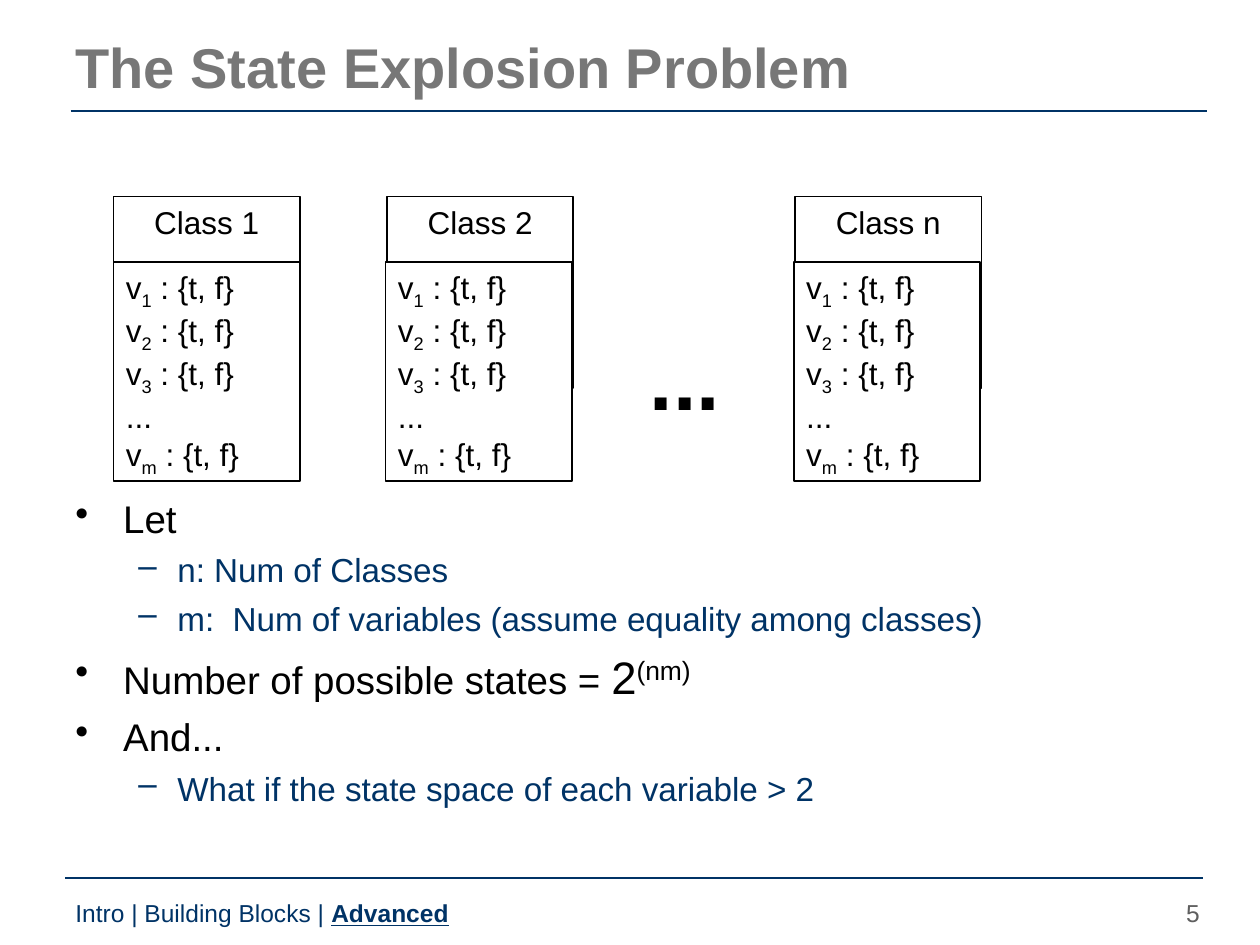
from lxml import etree
from pptx import Presentation
from pptx.dml.color import RGBColor
from pptx.enum import shapes, text
from pptx.oxml.ns import qn
from pptx.util import Inches, Pt

BLACK, NAVY, GRAY = "000000", "003366", "777777"

# Content: a run is (text, format overrides)
TITLE = "The State Explosion Problem"
CLASSES = [("Class 1", 0.9, 0.9), ("Class 2", 3.07, 3.06), ("Class n", 6.31, 6.3)]
VARIABLES = ["1", "2", "3", None, "m"]
BULLETS = [  # level, space before, runs
    (0, 0, [("Let", {})]),
    (1, 4.8, [("n: Num of Classes", {})]),
    (1, 4.8, [("m:  Num of variables (assume equality among classes)", {})]),
    (0, 6.5, [("Number of possible states = ", {}), ("2", {"size": 26}),
              ("(nm)", {"size": 26, "base": 30})]),
    (0, 5.5, [("And...", {})]),
    (1, 4.8, [("What if the state space of each variable > 2", {})]),
]
LEVELS = [("•", 0.38, 0.38, 22, BLACK), ("–", 0.81, 0.31, 19, NAVY)]
FOOTER = [("Intro | Building Blocks | ", {}), ("Advanced", {"bold": True, "underline": True})]
RULES = [(0.56, 9.58, 0.88), (0.52, 9.55, 6.97)]


def rgb(color):
    return RGBColor.from_string(color)


def add_run(p, words, size, color=BLACK, bold=False, underline=False, base=0):
    r = p.add_run()
    r.text = words
    f = r.font
    f.name, f.size, f.bold, f.underline = "Arial", Pt(size), bold, underline
    f.color.rgb = rgb(color)
    if base:
        r._r.get_or_add_rPr().set("baseline", str(base * 1000))


def add_runs(p, runs, size, color=BLACK):
    for words, extra in runs:
        add_run(p, words, **{"size": size, "color": color, **extra})


def add_paragraph(tf, first):
    return tf.paragraphs[0] if first else tf.add_paragraph()


def add_text_box(s, x, y, w, h):
    tf = s.shapes.add_textbox(Inches(x), Inches(y), Inches(w), Inches(h)).text_frame
    tf.word_wrap = True
    return tf


def add_box(s, x, y, w, h, fill=None):
    sp = s.shapes.add_shape(shapes.MSO_SHAPE.RECTANGLE,
                            Inches(x), Inches(y), Inches(w), Inches(h))
    sp.shadow.inherit = False
    if fill:
        sp.fill.solid()
        sp.fill.fore_color.rgb = rgb(fill)
    else:
        sp.fill.background()
    sp.line.color.rgb = rgb(BLACK)
    sp.line.width = Pt(1)
    sp.text_frame.vertical_anchor = text.MSO_ANCHOR.TOP
    sp.text_frame.word_wrap = True
    return sp.text_frame


def set_bullet(p, char, margin, hang):
    pPr = p._p.get_or_add_pPr()
    pPr.set("marL", str(Inches(margin)))
    pPr.set("indent", str(-Inches(hang)))
    etree.SubElement(pPr, qn("a:buChar")).set("char", char)


prs = Presentation()
prs.slide_width, prs.slide_height = Inches(10), Inches(7.5)
s = prs.slides.add_slide(prs.slide_layouts[5])

# Title
sp = s.shapes.title
sp.left, sp.top, sp.width, sp.height = Inches(0.5), Inches(0.19), Inches(9), Inches(0.67)
tf = sp.text_frame
tf.vertical_anchor = text.MSO_ANCHOR.MIDDLE
p = tf.paragraphs[0]
p.alignment = text.PP_ALIGN.LEFT
add_run(p, TITLE, 32, GRAY, bold=True)

# Header and footer rules
for x1, x2, y in RULES:
    rule = s.shapes.add_connector(shapes.MSO_CONNECTOR.STRAIGHT,
                                  Inches(x1), Inches(y), Inches(x2), Inches(y))
    rule.line.color.rgb = rgb(NAVY)
    rule.line.width = Pt(1)
    etree.SubElement(rule._element.spPr, qn("a:effectLst"))

# Class boxes, each with its variables in front
for name, name_x, variables_x in CLASSES:
    p = add_box(s, name_x, 1.56, 1.48, 1.52).paragraphs[0]
    p.alignment = text.PP_ALIGN.CENTER
    add_run(p, name, 18)

    tf = add_box(s, variables_x, 2.08, 1.48, 1.74, "FFFFFF")
    for i, index in enumerate(VARIABLES):
        p = add_paragraph(tf, i == 0)
        p.alignment = text.PP_ALIGN.LEFT
        runs = [("v", {}), (index, {"base": -25}), (" : {t, f}", {})] if index else [("...", {})]
        add_runs(p, runs, 18)

# Ellipsis between the classes
add_run(add_text_box(s, 5.06, 2.54, 0.8, 0.9).paragraphs[0], "...", 48, bold=True)

# Bullets
tf = add_text_box(s, 0.5, 3.88, 9, 2.96)
for i, (level, before, runs) in enumerate(BULLETS):
    char, margin, hang, size, color = LEVELS[level]
    p = add_paragraph(tf, i == 0)
    p.level = level
    set_bullet(p, char, margin, hang)
    if before:
        p.space_before = Pt(before)
    add_runs(p, runs, size, color)

# Footer and page number
add_runs(add_text_box(s, 0.5, 7.08, 6.42, 0.25).paragraphs[0], FOOTER, 14, NAVY)
p = add_text_box(s, 9.12, 7.08, 0.5, 0.25).paragraphs[0]
p.alignment = text.PP_ALIGN.RIGHT
add_run(p, "5", 14, "5F5F5F")

prs.save("out.pptx")
